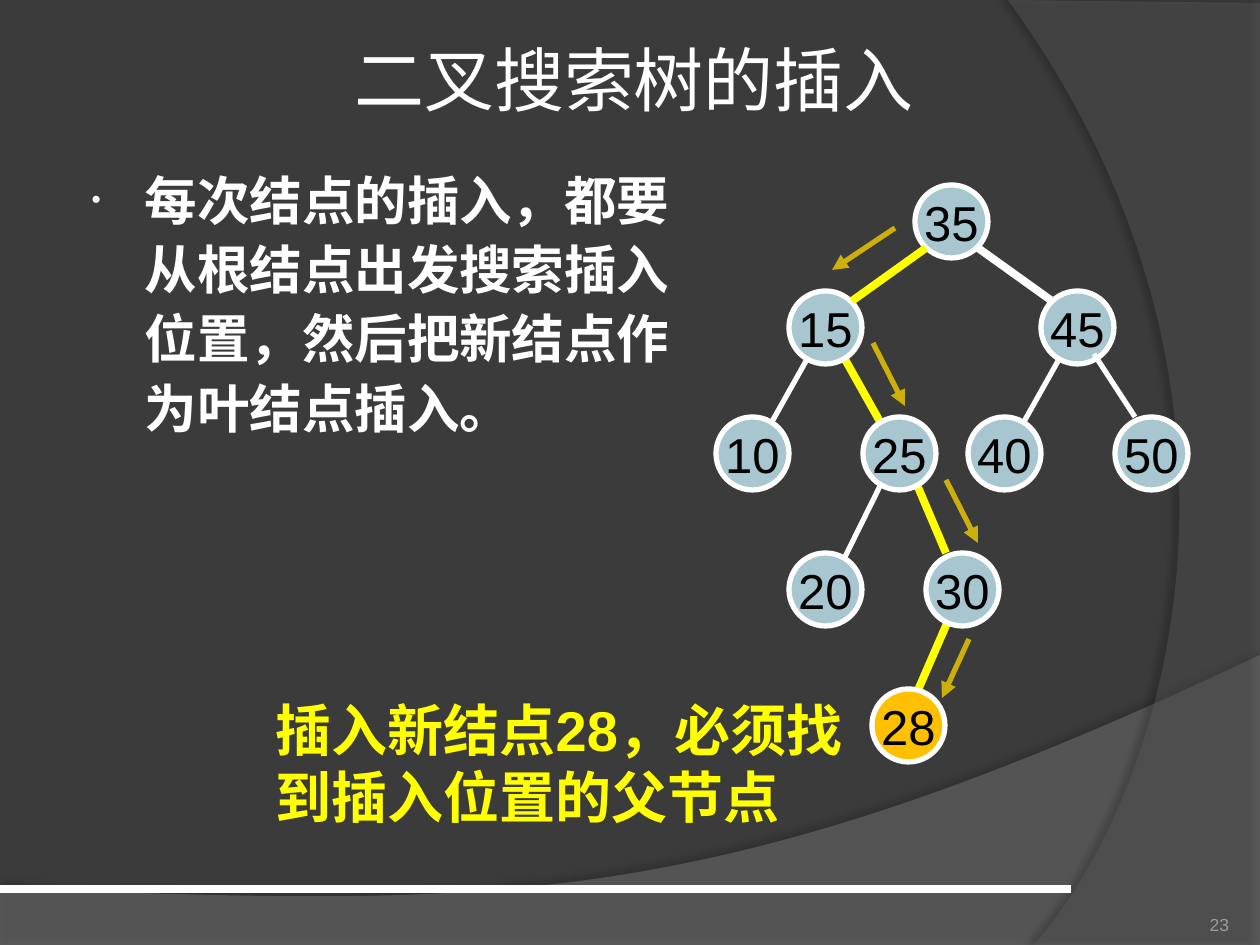
from lxml import etree
from pptx import Presentation
from pptx.dml.color import RGBColor
from pptx.enum.shapes import MSO_CONNECTOR, MSO_SHAPE
from pptx.enum.text import MSO_ANCHOR, MSO_AUTO_SIZE, PP_ALIGN
from pptx.oxml.ns import qn
from pptx.util import Pt

STRAIGHT = MSO_CONNECTOR.STRAIGHT
OVAL = MSO_SHAPE.OVAL
TOP, MIDDLE, BOTTOM = MSO_ANCHOR.TOP, MSO_ANCHOR.MIDDLE, MSO_ANCHOR.BOTTOM
LEFT, CENTER, RIGHT = PP_ALIGN.LEFT, PP_ALIGN.CENTER, PP_ALIGN.RIGHT
NO_FIT = MSO_AUTO_SIZE.NONE

SCALE = 914400 / 126
COLORS = {
    "back": "3B3B3B", "wave": "7F7F7F", "side": "5E5E5E", "white": "FFFFFF",
    "path": "FFFF00", "arrow": "CCAF0A", "node": "A8C6D0", "new": "FFC000",
    "black": "000000", "number": "9D9B9A",
}

TITLE = "二叉搜索树的插入"
BODY = "每次结点的插入，都要从根结点出发搜索插入位置，然后把新结点作为叶结点插入。"
NOTE = "插入新结点28，必须找到插入位置的父节点"
NUMBER = "23"

SWEEPS = [
    {"color": "wave", "alpha": 45, "corners": [(0, 888), (0, 946), (1260, 946), (1260, 655)],
     "curve": [(704, 919), (493, 906), (0, 888)], "shadow": (35, 4, 3.5, 270)},
    {"color": "side", "alpha": 40, "corners": [(1260, 3), (1260, 945), (1034, 945)],
     "curve": [(1178, 780), (1283, 378), (1008, 0)], "shadow": (45, 4, 4, 180)},
]
NODE_SIZE = 73
LEVELS = [
    (185, {"35": 915}),
    (291, {"15": 789, "45": 1041}),
    (417, {"50": 1115, "40": 968, "25": 863, "10": 716}),
    (553, {"20": 789, "30": 926}),
    (689, {"28": 872}),
]
NEW_NODE = "28"
BACK_EDGES = [
    (912, 704, 958, 598, "path", 4.5),
    (1062, 354, 1021, 427, "white", 3),
    (915, 480, 946, 553, "path", 4.5),
    (883, 480, 842, 563, "white", 3),
    (810, 354, 769, 427, "white", 3),
    (842, 354, 883, 427, "path", 4.5),
]
FRONT_EDGES = [
    (926, 248, 852, 301, "path", 4.5),
    (978, 248, 1052, 301, "white", 4.5),
    (1094, 354, 1135, 417, "white", 3),
]
ARROWS = [
    (895, 228, 832, 270), (873, 343, 905, 406),
    (946, 480, 978, 543), (969, 639, 942, 698),
]


def emu(px):
    return round(px * SCALE)


def color(name):
    return RGBColor.from_string(COLORS[name])


def add_xml(parent, tag, **values):
    return etree.SubElement(parent, qn(tag), {key: str(value) for key, value in values.items()})


def add_sweep(page, sweep):
    start, (second, third, end) = sweep["corners"][-1], sweep["curve"]
    points = list(sweep["corners"])
    for step in range(1, 61):
        t = step / 60
        points.append(tuple(
            (1 - t) ** 3 * a + 3 * (1 - t) ** 2 * t * b + 3 * (1 - t) * t ** 2 * c + t ** 3 * d
            for a, b, c, d in zip(start, second, third, end)))
    builder = page.shapes.build_freeform(*map(emu, points[0]), scale=1.0)
    builder.add_line_segments([(emu(x), emu(y)) for x, y in points[1:]], close=True)
    shape = builder.convert_to_shape()
    shape.fill.solid()
    shape.fill.fore_color.rgb = color(sweep["color"])
    shape.line.fill.background()
    shape.shadow.inherit = False
    properties = shape._element.spPr
    fill = properties.find(qn("a:solidFill"))
    add_xml(fill[0], "a:alpha", val=sweep["alpha"] * 1000)
    alpha, blur, distance, angle = sweep["shadow"]
    shadow = add_xml(properties.find(qn("a:effectLst")), "a:outerShdw", blurRad=int(Pt(blur)),
                     dist=int(Pt(distance)), dir=angle * 60000, algn="ctr", rotWithShape=0)
    add_xml(add_xml(shadow, "a:srgbClr", val=COLORS["black"]), "a:alpha", val=alpha * 1000)


def add_line(page, x1, y1, x2, y2, shade, width, arrow=False):
    line = page.shapes.add_connector(STRAIGHT, *map(emu, (x1, y1, x2, y2)))
    line.line.color.rgb = color(shade)
    line.line.width = Pt(width)
    if arrow:
        add_xml(line.line._get_or_add_ln(), "a:tailEnd", type="triangle")
    add_xml(line._element.spPr, "a:effectLst")


def write(box, text, size, font, shade, align=LEFT, anchor=TOP, bold=False, wrap=True, inset=None):
    frame = box.text_frame
    frame.auto_size = NO_FIT
    frame.word_wrap = wrap
    frame.vertical_anchor = anchor
    if inset is not None:
        for side in ("left", "top", "right", "bottom"):
            setattr(frame, f"margin_{side}", emu(inset))
    para = frame.paragraphs[0]
    para.alignment = align
    para.space_before = Pt(0)
    span = para.add_run()
    span.text = text
    for key, value in {"size": Pt(size), "name": font, "bold": bold}.items():
        setattr(span.font, key, value)
    span.font.color.rgb = color(shade)
    return para


def place(box, *bounds):
    for key, value in zip(("left", "top", "width", "height"), bounds):
        setattr(box, key, emu(value))


def add_node(page, label, x, y):
    node = page.shapes.add_shape(OVAL, *map(emu, (x, y, NODE_SIZE, NODE_SIZE)))
    node.shadow.inherit = False
    node.fill.solid()
    node.fill.fore_color.rgb = color("new" if label == NEW_NODE else "node")
    node.line.color.rgb = color("white")
    node.line.width = Pt(3)
    write(node, label, 28, "Arial", "black", CENTER, MIDDLE, wrap=False)


def main():
    deck = Presentation()
    deck.slide_width, deck.slide_height = emu(1260), emu(945)
    page = deck.slides.add_slide(deck.slide_layouts[1])
    page.background.fill.solid()
    page.background.fill.fore_color.rgb = color("back")

    title, body = page.placeholders
    place(title, 67, 0, 1134, 156)
    write(title, TITLE, 40, "Roboto", "white", CENTER, MIDDLE, inset=6)
    place(body, 74, 155, 620, 590)
    para = write(body, BODY, 30, "Times New Roman", "white", bold=True)
    para.line_spacing = 1.1
    settings = para._p.get_or_add_pPr()
    settings.set("marL", str(emu(58)))
    settings.set("indent", str(emu(-53)))
    add_xml(add_xml(settings, "a:buClr"), "a:srgbClr", val=COLORS["white"])
    add_xml(settings, "a:buSzPct", val=50000)
    add_xml(settings, "a:buChar", char="•")

    for sweep in SWEEPS:
        add_sweep(page, sweep)
    add_line(page, 0, 889, 1071, 889, "white", 4.5)

    number = page.shapes.add_textbox(*map(emu, (1124, 885, 105, 50)))
    write(number, NUMBER, 10, "Arial", "number", RIGHT, BOTTOM, inset=0)
    note = page.shapes.add_textbox(*map(emu, (263, 689, 593, 149)))
    write(note, NOTE, 32, "Arial", "path", bold=True)

    for edge in BACK_EDGES:
        add_line(page, *edge)
    for y, nodes in LEVELS:
        for label, x in nodes.items():
            add_node(page, label, x, y)
    for edge in FRONT_EDGES:
        add_line(page, *edge)
    for arrow in ARROWS:
        add_line(page, *arrow, "arrow", 3, arrow=True)

    deck.save("out.pptx")


if __name__ == "__main__":
    main()
